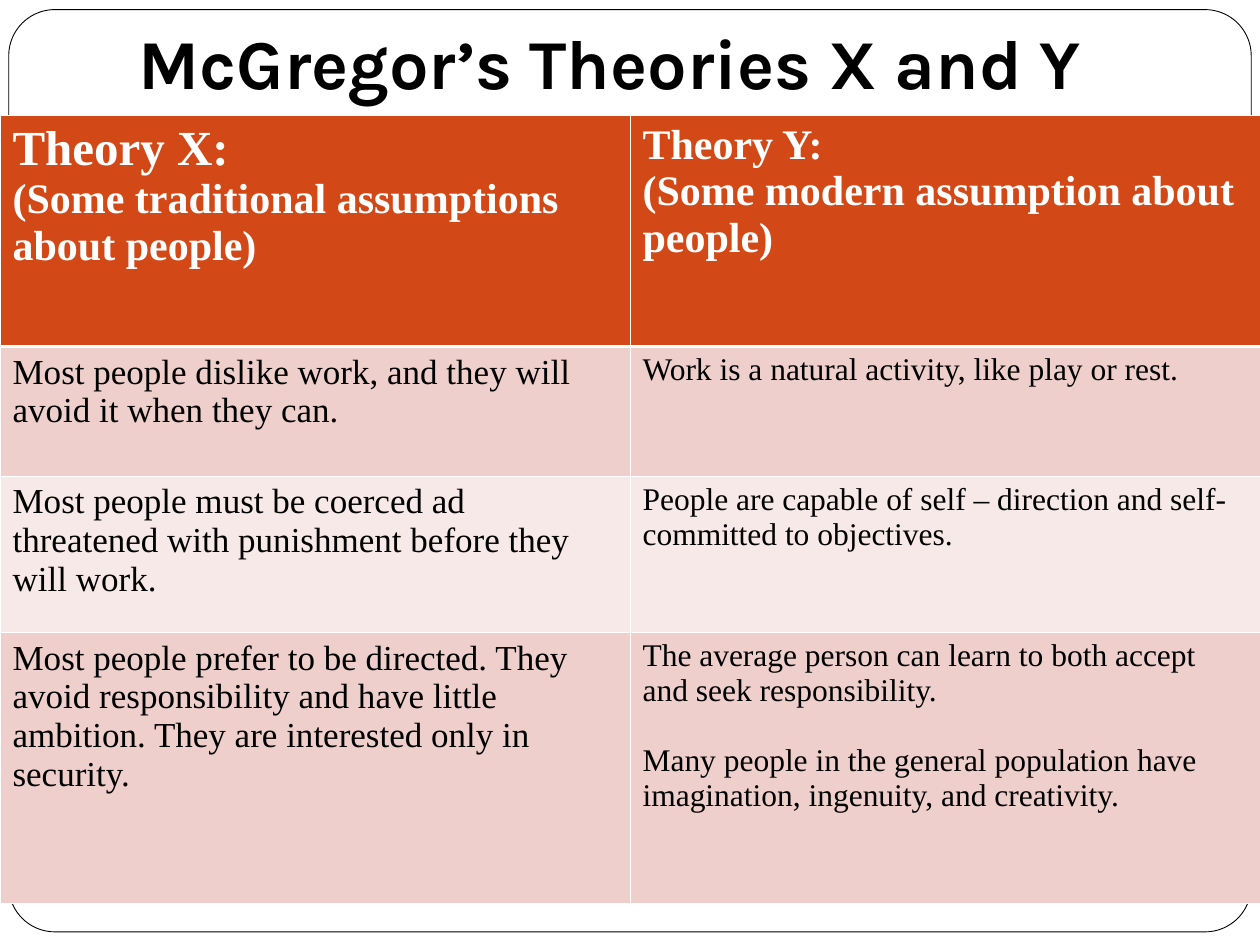
from lxml import etree
from pptx import Presentation
from pptx import util as u
from pptx.dml.color import RGBColor
from pptx.enum import shapes, text
from pptx.oxml import ns

Pt = u.Pt
COLORS = {
    "white": "FFFFFF",
    "black": "000000",
    "header": "D34817",
    "band": "EFCFCC",
    "light_band": "F7E9E7",
}
BODY_FONT = "Times New Roman"
ROW_HEIGHTS = [131.8, 74.2, 89.3, 154.7]
ROW_FILLS = ["header", "band", "light_band", "band"]
THIN, THICK = 0.45, 1.47
ROWS = [
    (
        [("Theory X:", 28), ("(Some traditional assumptions about people)", 24)],
        [("Theory Y:", 24), ("(Some modern assumption about people)", 24)],
    ),
    (
        [("Most people dislike work, and they will avoid it when they can.", 20)],
        [("Work is a natural activity, like play or rest.", 18)],
    ),
    (
        [("Most people must be coerced ad threatened with punishment before they will work.", 20)],
        [("People are capable of self – direction and self-committed to objectives.", 18)],
    ),
    (
        [("Most people prefer to be directed. They avoid responsibility and have little "
          "ambition. They are interested only in security.", 20)],
        [("The average person can learn to both accept and seek responsibility.", 18),
         ("Many people in the general population have imagination, ingenuity, and creativity.", 18)],
    ),
]


def color(name):
    return RGBColor.from_string(COLORS[name])


def write_text(paragraph, words, size, font=BODY_FONT, fill="black", bold=False, before=0):
    paragraph.alignment = text.PP_ALIGN.LEFT
    paragraph.space_before = Pt(before)
    run = paragraph.add_run()
    run.text = words
    run.font.name = font
    run.font.size = Pt(size)
    run.font.bold = bold
    run.font.color.rgb = color(fill)


def set_margins(target, left, top, right, bottom):
    target.margin_left, target.margin_top = Pt(left), Pt(top)
    target.margin_right, target.margin_bottom = Pt(right), Pt(bottom)


def set_borders(cell, widths):
    properties = cell._tc.get_or_add_tcPr()
    for position, (side, width) in enumerate(widths.items()):
        line = etree.Element(ns.qn(f"a:ln{side}"), w=str(int(Pt(width))))
        fill = etree.SubElement(line, ns.qn("a:solidFill"))
        etree.SubElement(fill, ns.qn("a:srgbClr"), val=COLORS["white"])
        properties.insert(position, line)


def add_frame(slide, left, top, width, height):
    frame = slide.shapes.add_shape(
        shapes.MSO_SHAPE.ROUNDED_RECTANGLE, Pt(left), Pt(top), Pt(width), Pt(height))
    frame.adjustments[0] = 0.05
    frame.shadow.inherit = False
    frame.fill.solid()
    frame.fill.fore_color.rgb = color("white")
    frame.line.color.rgb = color("black")
    frame.line.width = Pt(0.5)
    slide.shapes._spTree.insert(2, frame._element)


def place_title(slide, left, top, width, height):
    title = slide.shapes.title
    title.left, title.top, title.width, title.height = Pt(left), Pt(top), Pt(width), Pt(height)
    frame = title.text_frame
    frame.auto_size = text.MSO_AUTO_SIZE.NONE
    frame.word_wrap = True
    frame.vertical_anchor = text.MSO_ANCHOR.BOTTOM
    set_margins(frame, 7.2, 3.6, 7.2, 7.2)
    write_text(frame.paragraphs[0], "McGregor’s Theories X and Y", 40, font="Karla", bold=True)


def add_theory_table(slide, left, top, width):
    table = slide.shapes.add_table(
        len(ROWS), 2, Pt(left), Pt(top), Pt(width), Pt(sum(ROW_HEIGHTS))).table
    for column in table.columns:
        column.width = Pt(width / 2)
    for index, (row, height) in enumerate(zip(table.rows, ROW_HEIGHTS)):
        row.height = Pt(height)
        is_header = index == 0
        for cell, entries in zip(row.cells, ROWS[index]):
            cell.fill.solid()
            cell.fill.fore_color.rgb = color(ROW_FILLS[index])
            cell.vertical_anchor = text.MSO_ANCHOR.TOP
            set_margins(cell, 7.2, 3.6, 7.2, 3.6)
            set_borders(cell, {
                "L": THIN,
                "R": THIN,
                "T": THICK if index == 1 else THIN,
                "B": THICK if is_header else THIN,
            })
            for number, (words, size) in enumerate(entries):
                frame = cell.text_frame
                paragraph = frame.add_paragraph() if number else frame.paragraphs[0]
                write_text(paragraph, words, size, bold=is_header,
                           fill="white" if is_header else "black",
                           before=20 if number and not is_header else 0)


def main():
    presentation = Presentation()
    presentation.slide_width, presentation.slide_height = Pt(720), Pt(540)
    slide = presentation.slides.add_slide(presentation.slide_layouts[5])
    add_frame(slide, 5, 5.5, 710, 527)
    place_title(slide, 72, 21.6, 612, 44.6)
    add_theory_table(slide, 0, 66.2, 720)
    presentation.save("out.pptx")


if __name__ == "__main__":
    main()
